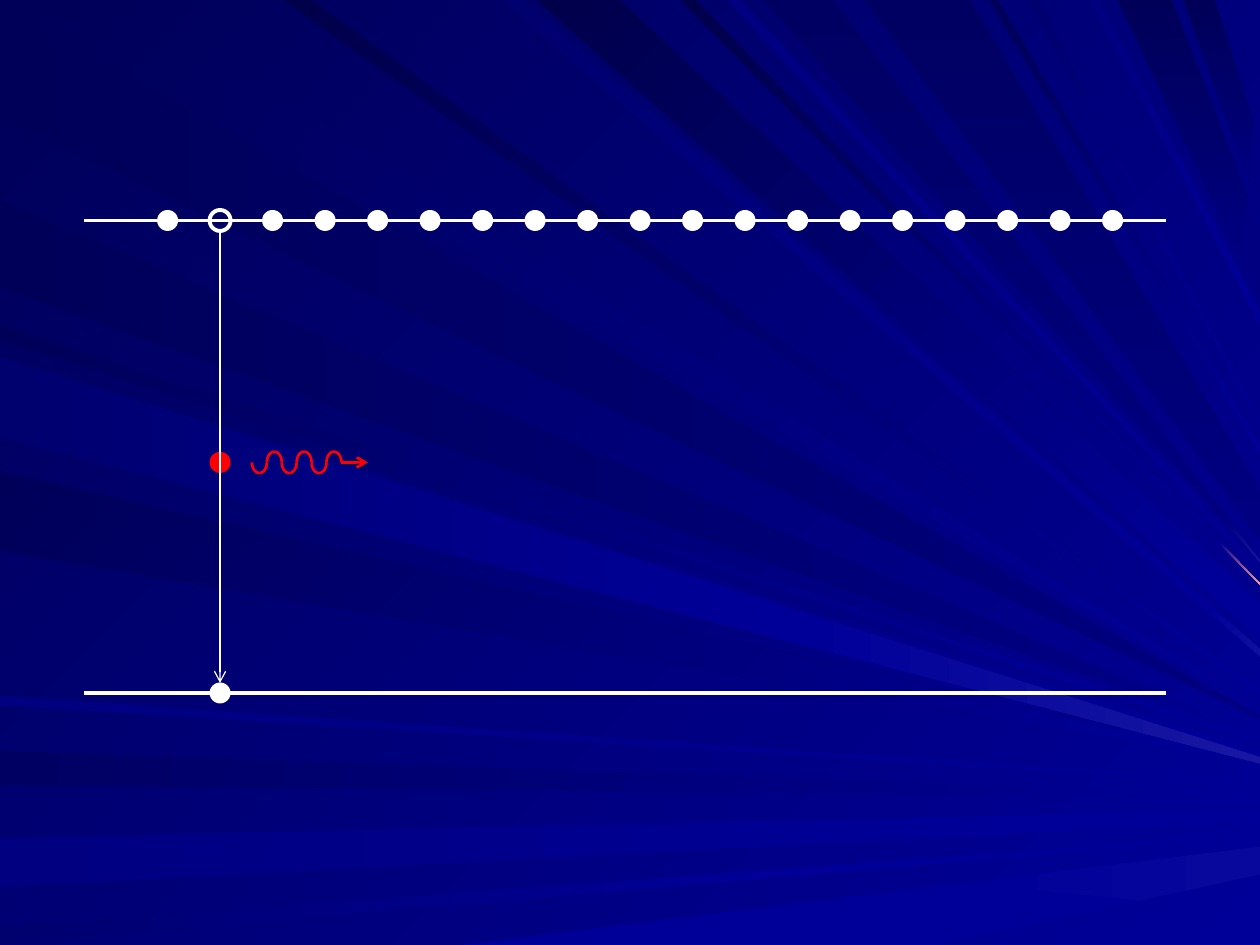
from math import cos, pi, sin
from typing import NamedTuple

from lxml import etree
from pptx import Presentation
from pptx.dml.color import RGBColor
from pptx.enum.shapes import MSO_CONNECTOR, MSO_SHAPE
from pptx.oxml.ns import qn
from pptx.util import Inches, Pt

WHITE = RGBColor.from_string("FFFFFF")
RED = RGBColor.from_string("FF0000")
PINK = RGBColor.from_string("FF9999")
BLACKISH = RGBColor.from_string("00004A")
NIGHT = RGBColor.from_string("000058")
DUSK = RGBColor.from_string("000063")
INDIGO = RGBColor.from_string("00006F")
NAVY = RGBColor.from_string("000080")
BLUE = RGBColor.from_string("000099")
HAZE = RGBColor.from_string("08089C")
MIST = RGBColor.from_string("0F0F9F")
GLOW = RGBColor.from_string("1717A2")

MIDDLE, LATE, TIP = 0.63, 0.86, 0.93


class Ray(NamedTuple):
    edge: str
    start: float
    end: float
    far: float
    dark: RGBColor
    light: RGBColor
    spread: float = 0.01
    cut: float = 1
    glow: RGBColor = BLUE
    angle: int = 0


RAYS = [
    Ray("left", 0.02, 0.93, 5.69, NIGHT, NAVY),
    Ray("top", 1.01, 0.26, 5.62, NIGHT, BLUE, angle=45),
    Ray("left", 5.96, 6.23, 6.31, DUSK, NAVY, cut=MIDDLE),
    Ray("left", 6.65, 7.04, 6.43, NAVY, BLUE, spread=0.08, cut=LATE),
    Ray("left", 7.35, 7.5, 6.62, INDIGO, BLUE, cut=MIDDLE),
    Ray("bottom", 3.64, 7.42, 6.72, BLUE, BLUE, spread=0.22, cut=MIDDLE, glow=HAZE),
    Ray("left", 2.58, 2.7, 5.88, NIGHT, BLUE, cut=LATE, angle=45),
    Ray("left", 1.59, 2.28, 5.84, NIGHT, NAVY, cut=LATE),
    Ray("top", 4.16, 3.98, 5.15, INDIGO, BLUE, spread=0.06, cut=TIP, glow=MIST, angle=45),
    Ray("top", 4.92, 4.26, 4.79, BLACKISH, BLUE, spread=0.28, cut=TIP, angle=45),
    Ray("top", 5.52, 5.4, 4.63, BLACKISH, BLUE, cut=TIP, glow=PINK, angle=45),
    Ray("top", 6.61, 6.06, 4.45, DUSK, NAVY, cut=TIP, glow=GLOW, angle=90),
    Ray("top", 9.3, 8.87, 1.83, NIGHT, NAVY, spread=0.54, cut=LATE, glow=NAVY, angle=90),
    Ray("top", 9.64, 9.39, 1.14, NIGHT, NAVY, spread=0.53, cut=LATE, glow=NAVY, angle=90),
    Ray("left", 2.78, 3.42, 5.96, DUSK, BLUE, spread=0.06, angle=45),
    Ray("left", 3.74, 4.37, 6.05, NIGHT, BLUE, angle=45),
    Ray("left", 5.52, 5.6, 6.21, NAVY, BLUE),
    Ray("top", 2.47, 2.25, 5.47, BLACKISH, BLUE, spread=0.05, angle=45),
    Ray("top", 5.88, 5.77, 4.53, NAVY, BLUE, angle=45),
    Ray("top", 7.7, 6.86, 3.9, DUSK, NAVY, spread=0.38, angle=90),
    Ray("top", 7.92, 7.85, 3.54, NIGHT, BLUE, spread=0.06, angle=45),
    Ray("top", 8.24, 8.15, 3.35, INDIGO, BLUE, angle=45),
    Ray("top", 8.72, 8.65, 2.49, NAVY, BLUE, spread=0.09, angle=45),
    Ray("left", 2.83, 3.47, 6.01, INDIGO, BLUE, spread=0.05, cut=MIDDLE, glow=GLOW),
]


def set_fill(fill, start, end, angle):
    if start == end:
        fill.solid()
        fill.fore_color.rgb = start
        return
    fill.gradient()
    fill.gradient_angle = (360 - angle) % 360
    for stop, color in zip(fill.gradient_stops, (start, end)):
        stop.color.rgb = color


def add_outline(shapes, points, close):
    corners = [(Inches(x), Inches(y)) for x, y in points]
    builder = shapes.build_freeform(*corners[0])
    builder.add_line_segments(corners[1:], close=close)
    outline = builder.convert_to_shape()
    outline.shadow.inherit = False
    return outline


def add_line(shapes, start, end, color, width, arrow=False):
    ends = [Inches(value) for value in (*start, *end)]
    line = shapes.add_connector(MSO_CONNECTOR.STRAIGHT, *ends)
    line.line.color.rgb = color
    line.line.width = Pt(width)
    properties = line._element.spPr
    if arrow:
        tail = etree.SubElement(properties.find(qn("a:ln")), qn("a:tailEnd"))
        tail.set("type", "arrow")
    etree.SubElement(properties, qn("a:effectLst"))


def add_dot(shapes, x, y, color, hollow=False):
    size = 1 / 6
    dot = shapes.add_shape(MSO_SHAPE.OVAL, Inches(x - size / 2), Inches(y - size / 2),
                           Inches(size), Inches(size))
    dot.shadow.inherit = False
    if hollow:
        dot.fill.background()
        dot.line.color.rgb = color
        dot.line.width = Pt(2.25)
    else:
        dot.fill.solid()
        dot.fill.fore_color.rgb = color
        dot.line.fill.background()


def between(near, far, share):
    return tuple(a + (b - a) * share for a, b in zip(near, far))


def add_rays(page, left, top, width, height):
    shapes = page.shapes.add_group_shape().shapes
    for ray in RAYS:
        if ray.edge == "left":
            near = [(left, top + ray.start), (left, top + ray.end)]
        else:
            y = top if ray.edge == "top" else top + height
            near = [(left + ray.start, y), (left + ray.end, y)]
        far = [(left + width, top + ray.far), (left + width, top + ray.far + ray.spread)]
        cut = [between(a, b, ray.cut) for a, b in zip(near, far)]
        parts = [(near, cut, ray.dark, ray.light)]
        if ray.cut < 1:
            parts.append((cut, far, ray.light, ray.glow))
        for back, front, start, end in parts:
            beam = add_outline(shapes, back + front[::-1], True)
            set_fill(beam.fill, start, end, ray.angle)
            beam.line.fill.background()


def add_levels(page, left, top, width, height):
    shapes = page.shapes.add_group_shape().shapes
    bottom, first, gap, vacancy = top + height, left + 0.66, 5 / 12, 1
    hole = first + vacancy * gap
    for y in (top, bottom):
        add_line(shapes, (left, y), (left + width, y), WHITE, 2.25)
    for index in range(19):
        add_dot(shapes, first + index * gap, top, WHITE, hollow=index == vacancy)
    add_dot(shapes, hole, bottom, WHITE)
    add_dot(shapes, hole, top + 1.92, RED)
    add_line(page.shapes, (hole, top + 0.08), (hole, bottom - 0.08), WHITE, 0.75, arrow=True)


def add_photon(page, left, middle, width, height):
    shapes = page.shapes.add_group_shape().shapes
    quarters, steps = 12, 8
    wave_width = width - 0.21
    quarter = wave_width / quarters
    for index in range(quarters):
        crest = left + (index + 1 - index % 2) * quarter
        side = 1 if index % 2 else -1
        swing = (-1 if index // 2 % 2 else 1) * height / 2
        angles = [step * pi / 2 / steps for step in range(steps + 1)]
        points = [(crest + side * quarter * sin(a), middle + swing * cos(a)) for a in angles]
        arc = add_outline(shapes, points, False)
        arc.fill.background()
        arc.line.color.rgb = RED
        arc.line.width = Pt(1.5)
    add_line(shapes, (left + wave_width, middle), (left + width, middle), RED, 1.5, arrow=True)


def main():
    deck = Presentation()
    deck.slide_width, deck.slide_height = Inches(10), Inches(7.5)
    page = deck.slides.add_slide(deck.slide_layouts[6])
    set_fill(page.background.fill, NIGHT, BLUE, 45)
    add_rays(page, 0, 0, 10, 7.5)
    add_levels(page, 0.67, 1.75, 8.58, 3.75)
    add_photon(page, 2, 3.67, 0.92, 0.17)
    deck.save("out.pptx")


if __name__ == "__main__":
    main()
